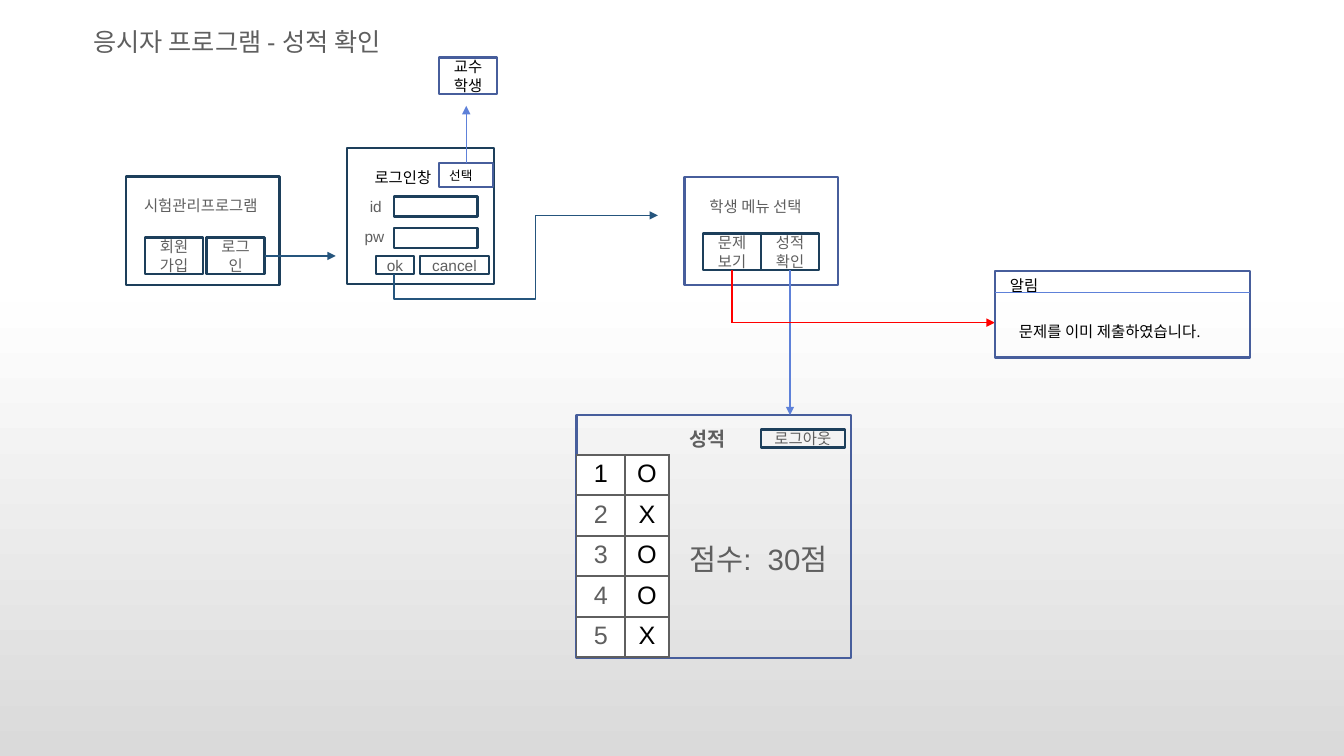
import copy

import pptx
import pptx.dml.color
import pptx.enum.shapes
import pptx.enum.text
import pptx.oxml
import pptx.oxml.ns
import pptx.util

Cm = pptx.util.Cm
Pt = pptx.util.Pt
qn = pptx.oxml.ns.qn
ALIGN = pptx.enum.text.PP_ALIGN
CONNECTOR = pptx.enum.shapes.MSO_CONNECTOR

COLORS = {
    "navy": "1D3F5B", "indigo": "475E9C", "teal": "25557D", "blue": "5E81D9",
    "red": "FF0000", "gray": "5F5F5F", "black": "000000", "white": "FFFFFF",
}
BACKGROUND = [(0, "FFFFFF"), (0.4, "FEFEFE"), (1, "DADADA")]
BUTTON = (1.46, 0.92)
FIELD = (2.11, 0.51)


def rgb(name):
    return pptx.dml.color.RGBColor.from_string(COLORS[name])


def sub(parent, tag, **attrs):
    el = parent.makeelement(qn(tag), attrs)
    parent.append(el)
    return el


def paint_background(s):
    fill = s.background.fill
    fill.gradient()
    fill.gradient_angle = 270
    stops = s.element.find(".//" + qn("a:gsLst"))
    stops.append(copy.deepcopy(stops[-1]))
    for stop, (position, color) in zip(fill.gradient_stops, BACKGROUND):
        stop.position = position
        stop.color.rgb = pptx.dml.color.RGBColor.from_string(color)


def write(tf, lines, size, color, font, align=None, bold=None):
    for i, line in enumerate(lines):
        p = tf.paragraphs[0] if i == 0 else tf.add_paragraph()
        p.alignment = align
        r = p.add_run()
        r.text = line
        r.font.size, r.font.name, r.font.bold = Pt(size), font, bold
        r.font.color.rgb = rgb(color)


def box(s, x, y, w, h, lines=(), line="navy", size=11, color="gray",
        font="Arial", align=ALIGN.CENTER):
    sp = s.shapes.add_shape(pptx.enum.shapes.MSO_SHAPE.RECTANGLE,
                            Cm(x), Cm(y), Cm(w), Cm(h))
    sp.shadow.inherit = False
    sp.fill.background()
    sp.line.color.rgb = rgb(line)
    sp.line.width = Pt(1.75 if line == "navy" else 1.5)
    tf = sp.text_frame
    tf.word_wrap = True
    tf.vertical_anchor = pptx.enum.text.MSO_ANCHOR.MIDDLE
    write(tf, lines, size, color, font, align)
    return sp


def label(s, x, y, w, h, text, size=11, color="gray", font="Arial",
          bold=None, wrap=False):
    tf = s.shapes.add_textbox(Cm(x), Cm(y), Cm(w), Cm(h)).text_frame
    tf.word_wrap = wrap
    tf.auto_size = pptx.enum.text.MSO_AUTO_SIZE.SHAPE_TO_FIT_TEXT
    write(tf, [text], size, color, font, bold=bold)


def connector(s, start, end, color, arrow=True, source=None, side=0,
              kind=CONNECTOR.STRAIGHT):
    cx = s.shapes.add_connector(kind, *[Cm(v) for v in (*start, *end)])
    if source is not None:
        cx.begin_connect(source, side)
    cx.line.color.rgb = rgb(color)
    cx.line.width = Pt(1)
    if arrow:
        sub(cx.line._get_or_add_ln(), "a:tailEnd", type="triangle")
    sub(cx._element.spPr, "a:effectLst")
    return cx


def four_part_elbow(s, start, end, color, adjustments):
    """Elbow with four segments, turned by a quarter."""
    cx = connector(s, start, end, color, kind=CONNECTOR.ELBOW)
    spPr = cx._element.spPr
    spPr.find(qn("a:xfrm")).set("rot", "5400000")
    geom = spPr.find(qn("a:prstGeom"))
    geom.set("prst", "bentConnector4")
    guides = geom.find(qn("a:avLst"))
    if guides is None:
        guides = sub(geom, "a:avLst")
    for i, value in enumerate(adjustments, 1):
        sub(guides, "a:gd", name=f"adj{i}", fmla=f"val {value}")


def border(cell):
    tcPr = cell._tc.get_or_add_tcPr()
    for i, side in enumerate(("a:lnL", "a:lnR", "a:lnT", "a:lnB")):
        ln = tcPr.makeelement(qn(side), {"w": str(Pt(1.5))})
        sub(sub(ln, "a:solidFill"), "a:srgbClr", val=COLORS["gray"])
        tcPr.insert(i, ln)


def answer_table(s, x, y, answers):
    widths, height = (1.22, 1.11), 1.02
    table = s.shapes.add_table(len(answers), 2, Cm(x), Cm(y), Cm(sum(widths)),
                               Cm(height * len(answers))).table
    table.first_row = table.horz_banding = False
    for col, width in zip(table.columns, widths):
        col.width = Cm(width)
    for i, answer in enumerate(answers):
        table.rows[i].height = Cm(height)
        for j, text in enumerate((str(i + 1), answer)):
            cell = table.cell(i, j)
            cell.fill.solid()
            cell.fill.fore_color.rgb = rgb("white")
            border(cell)
            color = "gray" if j == 0 and i > 0 else "black"
            write(cell.text_frame, [text], 18, color, "Arial", ALIGN.CENTER)


def start_window(s):
    box(s, 3.18, 4.45, 3.86, 2.74)
    label(s, 3.38, 4.83, 3.71, 0.74, "시험관리프로그램")
    box(s, 3.66, 5.99, *BUTTON, ["회원가입"])
    login = box(s, 5.21, 5.99, *BUTTON, ["로그인"])
    connector(s, (6.67, 6.45), (8.46, 6.45), "teal", source=login, side=3)


def login_window(s):
    box(s, 8.74, 3.73, 3.71, 3.43)
    label(s, 9.07, 4.85, 0.89, 0.74, "id")
    label(s, 8.94, 5.59, 1.07, 0.74, "pw")
    for y in (4.95, 5.74):
        box(s, 9.93, y, *FIELD)
    box(s, 9.47, 6.45, 0.97, 0.46, ["ok"])
    box(s, 10.59, 6.45, 1.73, 0.46, ["cancel"])
    label(s, 9.19, 4.11, 2.16, 0.74, "로그인창", color="black", font="Calibri")
    four_part_elbow(s, (13.99, 9.49), (12.52, 2.84), "teal", (-43300, 53600))
    # Role choice
    choice = box(s, 11.07, 4.11, 1.36, 0.61, ["선택"], "indigo", 9, "black",
                 "Calibri", ALIGN.LEFT)
    connector(s, (11.75, 4.11), (11.75, 2.67), "blue", source=choice, side=0)
    box(s, 11.07, 1.45, *BUTTON, ["교수", "학생"], "indigo", 11, "black",
        "Calibri")


def student_menu(s):
    box(s, 17.25, 4.45, 3.86, 2.74, line="indigo")
    label(s, 17.63, 4.85, 3.12, 0.74, "학생 메뉴 선택")
    grades = box(s, 19.18, 5.89, *BUTTON, ["성적 확인"])
    questions = box(s, 17.72, 5.89, *BUTTON, ["문제 보기"])
    return questions, grades


def grade_window(s):
    box(s, 14.53, 10.46, 6.91, 6.12, line="indigo")
    box(s, 19.18, 10.82, 2.11, 0.46, ["로그아웃"])
    answer_table(s, 14.53, 11.46, "OXOOX")
    label(s, 17.12, 13.51, 4.11, 1.14, "점수:  30점", 21, wrap=True)
    label(s, 17.12, 10.64, 1.57, 0.84, "성적", 14, bold=True)


def alert_window(s):
    box(s, 25.07, 6.83, 6.43, 2.18, line="indigo")
    label(s, 25.43, 7.98, 5.49, 0.71, "문제를 이미 제출하였습니다.",
          color="black", font="Calibri", wrap=True)
    connector(s, (25.07, 7.37), (31.5, 7.37), "blue", arrow=False)
    label(s, 25.2, 6.83, 5.13, 0.71, "알림", color="black", font="Calibri",
          wrap=True)


def main():
    prs = pptx.Presentation()
    prs.slide_width, prs.slide_height = Cm(33.87), Cm(19.05)
    s = prs.slides.add_slide(prs.slide_layouts[6])
    paint_background(s)
    label(s, 2.11, 0.53, 8.86, 1.02, "응시자 프로그램 - 성적 확인", 18, wrap=True)

    # Windows
    start_window(s)
    login_window(s)
    questions, grades = student_menu(s)
    grade_window(s)

    # Paths out of the student menu
    connector(s, (19.91, 6.81), (19.91, 10.46), "blue", source=grades, side=2)
    connector(s, (18.45, 6.81), (18.45, 8.13), "red", False, questions, 2)
    connector(s, (18.45, 8.13), (25.07, 8.13), "red")
    alert_window(s)
    prs.save("out.pptx")


if __name__ == "__main__":
    main()
